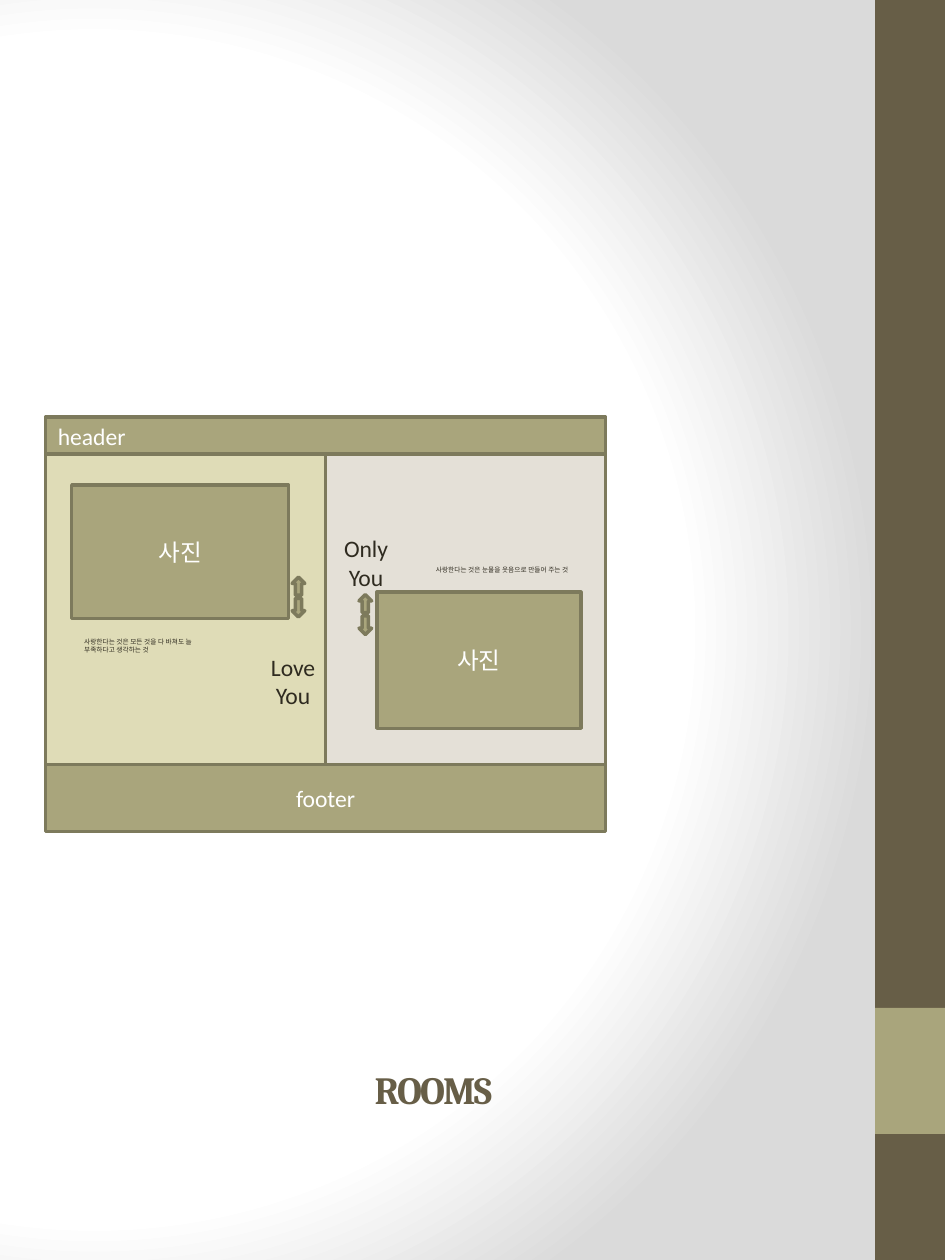
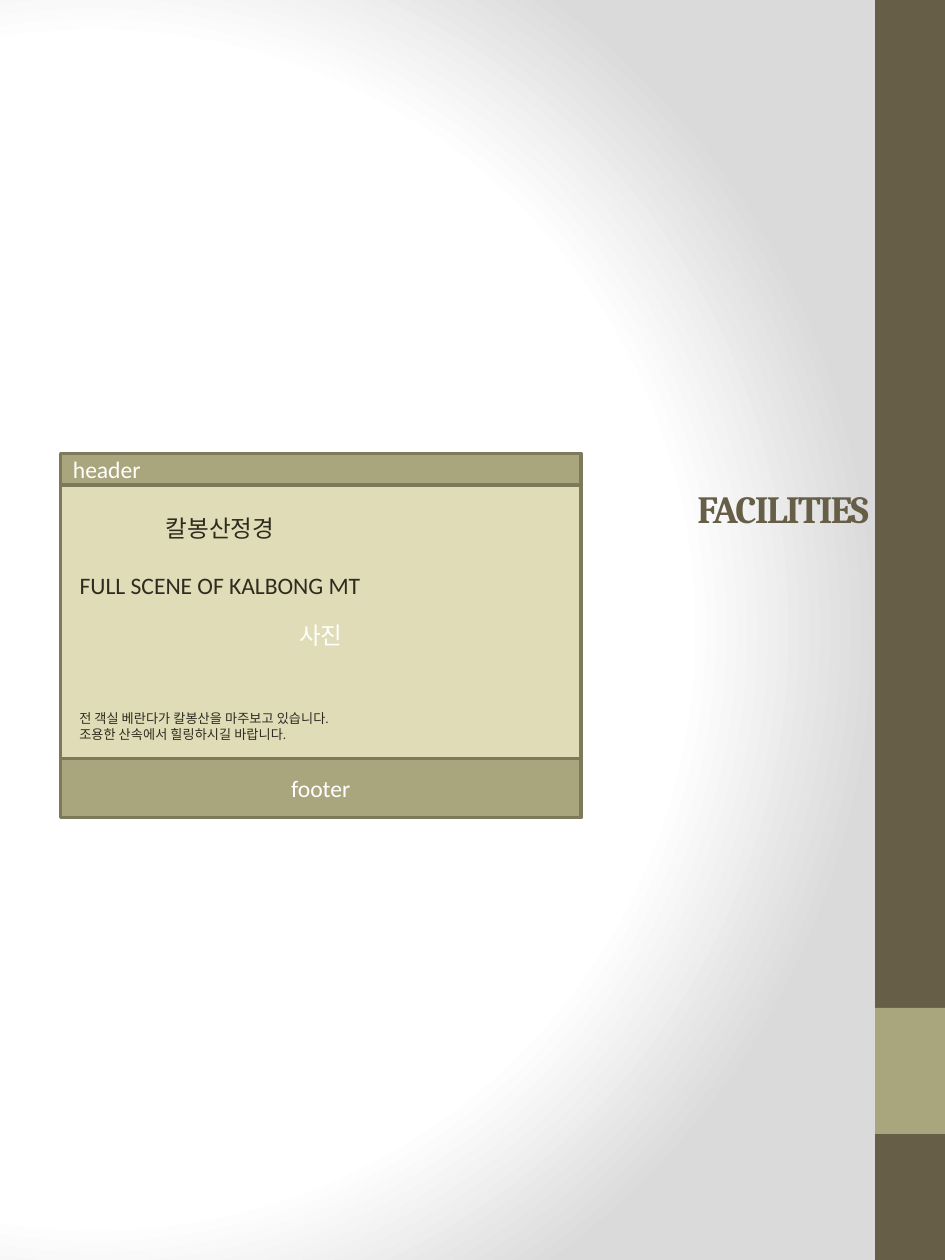
"""Build two page-layout sketches, Rooms and Facilities, on a shared master."""
from pptx import Presentation
from pptx.dml.color import RGBColor
from pptx.enum.shapes import MSO_SHAPE
from pptx.enum.text import MSO_ANCHOR, MSO_AUTO_SIZE, PP_ALIGN
from pptx.oxml import parse_xml
from pptx.oxml.ns import nsdecls
from pptx.util import Pt

RECT, UP, DOWN = MSO_SHAPE.RECTANGLE, MSO_SHAPE.UP_ARROW, MSO_SHAPE.DOWN_ARROW
TOP, MIDDLE, BOTTOM = MSO_ANCHOR.TOP, MSO_ANCHOR.MIDDLE, MSO_ANCHOR.BOTTOM
LEFT, CENTER = PP_ALIGN.LEFT, PP_ALIGN.CENTER
NO_FIT = MSO_AUTO_SIZE.NONE
DARK, OLIVE, EDGE = "675E47", "A9A57C", "7D7A5C"
CREAM, STONE, INK, WHITE = "DFDCB7", "E4E0D7", "2F2B20", "FFFFFF"
BODY_FONT, TITLE_FONT = "Calibri", "Cambria"
GLOW = [(0, "FFFFFF"), (75, "FFFFFF"), (100, "DADADA")]


def rgb(value):
    return RGBColor.from_string(value)


def write(tf, text, size=13.5, color=INK, font=BODY_FONT, bold=False,
          align=LEFT, anchor=TOP, gap=0, tracking=0):
    tf.word_wrap = True
    tf.auto_size = NO_FIT
    tf.vertical_anchor = anchor
    for i, line in enumerate(text.split("\n")):
        p = tf.add_paragraph() if i else tf.paragraphs[0]
        p.alignment = align
        p.space_before = Pt(gap if i else 0)
        r = p.add_run()
        r.text = line
        r.font.name, r.font.size, r.font.bold = font, Pt(size), bold
        r.font.color.rgb = rgb(color)
        if tracking:
            r.font._element.set("spc", str(tracking * 100))


class Deck:
    def __init__(self):
        self.prs = Presentation()
        self.prs.slide_width, self.prs.slide_height = Pt(540), Pt(720)
        self.s = None

    def slide(self, title, *box):
        self.s = self.prs.slides.add_slide(self.prs.slide_layouts[5])
        sp = self.s.shapes.title
        sp.left, sp.top, sp.width, sp.height = map(Pt, box)
        write(sp.text_frame, title, size=22, color=DARK, font=TITLE_FONT,
              bold=True, align=CENTER, anchor=BOTTOM, tracking=-1)

    def shape(self, kind, box, fill=OLIVE, line=EDGE, text="", align=CENTER):
        sp = self.s.shapes.add_shape(kind, *map(Pt, box))
        sp.shadow.inherit = False
        sp.fill.solid()
        sp.fill.fore_color.rgb = rgb(fill)
        if line:
            sp.line.color.rgb = rgb(line)
            sp.line.width = Pt(2)
        else:
            sp.line.fill.background()
        if text:
            write(sp.text_frame, text, color=WHITE, align=align, anchor=MIDDLE)
        return sp

    def text(self, text, box, **style):
        sp = self.s.shapes.add_textbox(*map(Pt, box))
        write(sp.text_frame, text, **style)

    def master(self):
        c_sld = self.prs.slide_master.element.cSld
        if c_sld.bg is not None:
            c_sld.remove(c_sld.bg)
        stops = "".join(f'<a:gs pos="{pos * 1000}"><a:srgbClr val="{color}"/></a:gs>'
                        for pos, color in GLOW)
        c_sld.insert(0, parse_xml(
            f'<p:bg {nsdecls("p", "a")}><p:bgPr><a:gradFill rotWithShape="1">'
            f'<a:gsLst>{stops}</a:gsLst><a:path path="circle">'
            '<a:fillToRect l="20000" t="50000" r="100000" b="50000"/></a:path>'
            '</a:gradFill><a:effectLst/></p:bgPr></p:bg>'))
        bands = [(0, 720, DARK), (576, 72, OLIVE)]
        for shape_id, (y, h, fill) in enumerate(bands, start=100):
            sp = self.shape(RECT, (500, y, 40, h), fill, line=None)
            sp.element.nvSpPr.cNvPr.id = shape_id
            c_sld.spTree.append(sp.element)

    def header_footer(self, x, w, header_y, header_h, footer_y, footer_h):
        return [self.shape(RECT, (x, header_y, w, header_h), text="header", align=LEFT),
                self.shape(RECT, (x, footer_y, w, footer_h), text="footer")]

    def photo(self, box, arrow_x, arrow_y):
        self.group([self.shape(RECT, box, text="사진"),
                    self.shape(UP, (arrow_x, arrow_y, 7.2, 10.3)),
                    self.shape(DOWN, (arrow_x, arrow_y + 12.2, 7.2, 10.6))])

    def group(self, shapes):
        self.s.shapes.add_group_shape(shapes)


def rooms(deck):
    deck.slide("ROOMS", 18, 576.7, 459.4, 62.6)
    deck.master()
    deck.shape(RECT, (26, 250.5, 160, 210), CREAM)
    deck.shape(RECT, (186, 250, 160, 210), STONE)
    deck.text("Love You", (146.2, 369.4, 42.5, 40.3), align=CENTER)
    deck.text("Only You", (187.9, 301.7, 42.5, 40.3), align=CENTER)
    deck.photo((41, 277.2, 124, 76.3), 167, 329.8)
    deck.photo((215.3, 338.4, 116.6, 77.8), 205.2, 339.8)
    deck.text("사랑한다는 것은 모든 것을 다 바쳐도 늘 부족하다고 생각하는 것",
              (41, 360.7, 87, 21), size=3.8)
    deck.text("사랑한다는 것은 눈물을 웃음으로 만들어 주는 것",
              (242, 319.7, 93, 16.5), size=3.8)
    deck.group(deck.header_footer(26, 320, 238.4, 21, 437, 38.2))


def facilities(deck):
    deck.slide("FACILITIES", 376.6, 230.4, 141.8, 77)
    deck.shape(RECT, (34.6, 272.9, 297.4, 180), CREAM, text="사진")
    deck.header_footer(34.6, 297.4, 259.2, 18, 433.4, 33.8)
    deck.text("칼봉산정경\nFULL SCENE OF KALBONG MT", (38.2, 290.2, 175, 72.7),
              align=CENTER, gap=16.2)
    deck.text("전 객실 베란다가 칼봉산을 마주보고 있습니다.\n조용한 산속에서 힐링하시길 바랍니다.",
              (38.2, 402.5, 282.2, 25.2), size=7.5)


def main():
    deck = Deck()
    rooms(deck)
    facilities(deck)
    deck.prs.save("out.pptx")


if __name__ == "__main__":
    main()
